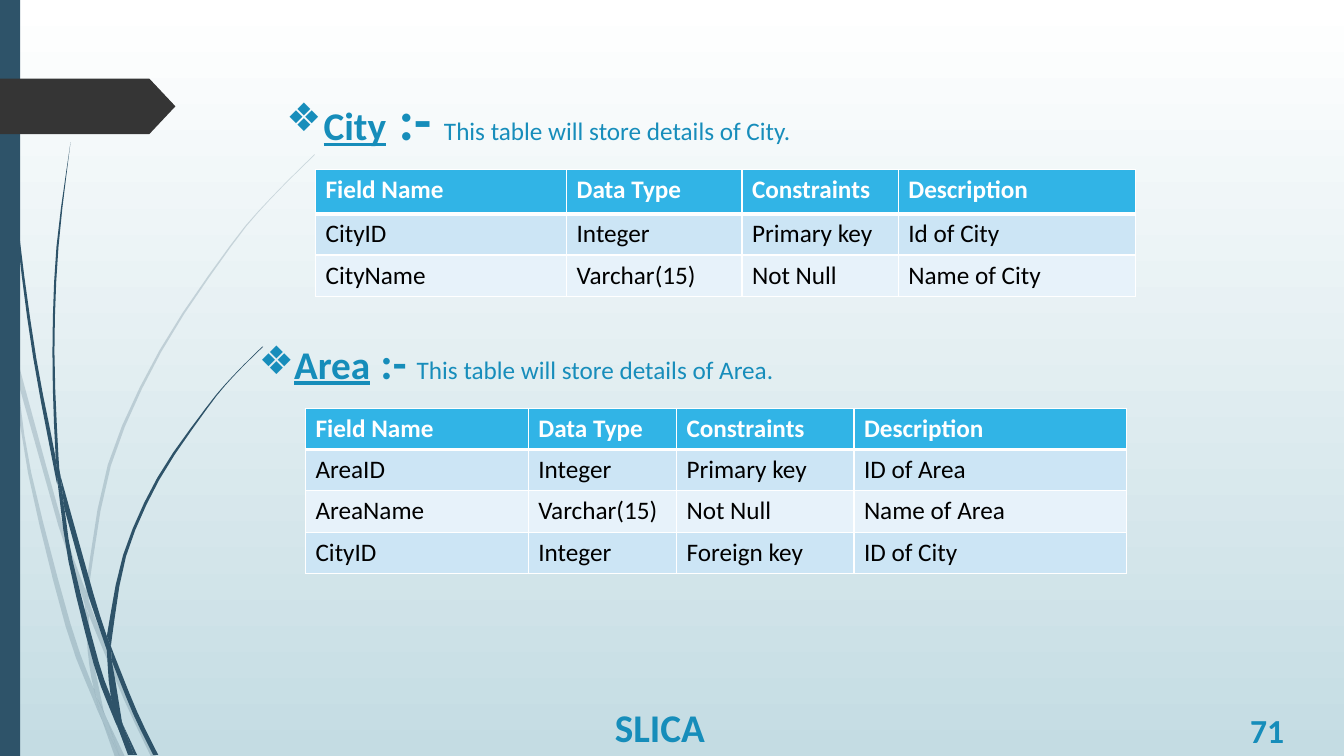
from lxml import etree
from pptx import Presentation
from pptx import util as u
from pptx.dml.color import RGBColor
from pptx.enum import shapes, text
from pptx.oxml import parse_xml
from pptx.oxml.ns import nsdecls, qn

FONT = "Calibri"
NAVY, BLUE, LINK = "2E5369", "168DBA", "178DBB"

PALE_BLADES = [
    ([(0.11, 3.5), (0.09, 3.22), (0, 2.82)], [(0, 2.99), (0.1, 3.44)]),
    ([(0.58, 5.22), (0.84, 5.99)], [(0.85, 5.86), (0.62, 5.2), (0.14, 3.45)], [(0.17, 3.76), (0.58, 5.22)]),
    ([(0.92, 6.07), (0.88, 5.96)], [(0.88, 6.1), (1.23, 6.94), (1.5, 7.51)], [(1.55, 7.51), (1.27, 6.92), (0.92, 6.07)]),
    ([(1.19, 7.51), (1.24, 7.51)], [(1.05, 7.11), (1.19, 7.51)]),
    ([(0.93, 6.83), (0.7, 6.19), (0.31, 4.69), (0.17, 3.76), (0.11, 3.5)],
     [(0.11, 3.5), (0.28, 4.7), (0.65, 6.21), (0.92, 6.93), (1.01, 7.14)], [(0.99, 7.07), (0.93, 6.83)]),
    ([(0.84, 5.99), (0.87, 6.46), (0.93, 6.83), (1.05, 7.11)], [(1.03, 7.06), (0.91, 6.46), (0.88, 6.1)]),
    ([(0.88, 5.84), (1.1, 4.62), (1.6, 3.49), (2.29, 2.45), (2.68, 1.98), (3.12, 1.54)],
     [(3.12, 1.53), (2.68, 1.97), (2.28, 2.44), (1.58, 3.48), (1.07, 4.61), (0.85, 5.84)], [(0.85, 5.86), (0.88, 5.96)]),
    ([(1.01, 7.14), (1.14, 7.51)], [(1.19, 7.51), (1.01, 7.14)]),
    ([(0.88, 6.08), (0.88, 5.96)], [(0.85, 5.86), (0.84, 5.99)]),
    ([(0.96, 6.92), (0.93, 6.83), (0.99, 7.07), (1.01, 7.14)], [(1.19, 7.51), (1.05, 7.11), (0.96, 6.92)]),
]
DARK_BLADES = [
    ([(0.07, 1.1), (0.17, 2.33), (0.33, 3.55), (0.56, 4.77)],
     [(0.57, 4.81), (0.55, 4.53), (0.36, 3.55), (0.19, 2.32), (0.08, 1.09), (0.04, 0)], [(0.03, 0), (0.07, 1.1)]),
    ([(0.88, 5.92), (1.06, 6.45)], [(1.06, 6.31), (0.93, 5.9), (0.6, 4.72)], [(0.64, 5.05), (0.88, 5.92)]),
    ([(1.13, 6.49), (1.1, 6.41)], [(1.11, 6.56), (1.32, 7.08), (1.52, 7.49)], [(1.57, 7.49), (1.36, 7.06), (1.13, 6.49)]),
    ([(1.1, 6.91), (0.98, 6.57), (0.72, 5.56), (0.64, 5.05), (0.57, 4.77)],
     [(0.57, 4.77), (0.68, 5.57), (0.93, 6.59), (1.11, 7.08), (1.17, 7.22)], [(1.16, 7.17), (1.1, 6.91)]),
    ([(0.6, 4.72), (0.58, 4.53), (0.54, 3.49), (0.58, 2.45), (0.7, 1.41)],
     [(0.7, 1.41), (0.56, 2.45), (0.52, 3.49), (0.55, 4.49), (0.6, 4.72)]),
    ([(1.33, 7.49), (1.36, 7.49)], [(1.22, 7.19), (1.33, 7.49)]),
    ([(0.57, 4.77), (0.64, 5.05)], [(0.6, 4.72), (0.55, 4.49)]),
    ([(1.11, 6.33), (1.25, 5.52), (1.58, 4.76), (2.05, 4.06), (2.31, 3.74), (2.61, 3.44)],
     [(2.6, 3.44), (2.31, 3.73), (2.04, 4.05), (1.56, 4.74), (1.22, 5.51), (1.06, 6.31)], [(1.1, 6.41), (1.11, 6.33)]),
    ([(1.17, 7.22), (1.27, 7.49)], [(1.31, 7.49), (1.17, 7.22)]),
    ([(1.06, 6.45), (1.1, 6.91), (1.22, 7.19)], [(1.21, 7.16), (1.11, 6.56), (1.06, 6.45)]),
    ([(1.06, 6.45), (1.11, 6.56)], [(1.1, 6.41), (1.06, 6.31)]),
    ([(1.16, 7.06), (1.1, 6.91), (1.17, 7.22), (1.3, 7.49)], [(1.33, 7.49), (1.22, 7.19), (1.16, 7.06)]),
]
HEADERS = ["Field Name", "Data Type", "Constraints", "Description"]
CITY = [HEADERS,
        ["CityID", "Integer", "Primary key", "Id of City"],
        ["CityName", "Varchar(15)", "Not Null", "Name of City"]]
AREA = [HEADERS,
        ["AreaID", "Integer", "Primary key", "ID of Area"],
        ["AreaName", "Varchar(15)", "Not Null", "Name of Area"],
        ["CityID", "Integer", "Foreign key", "ID of City"]]


def rgb(value):
    """Turn a hex string into a colour."""
    return RGBColor.from_string(value)


def paint(sp, color, opacity=100):
    """Give a shape a flat fill without line or shadow."""
    sp.shadow.inherit = False
    sp.fill.solid()
    sp.fill.fore_color.rgb = rgb(color)
    sp.line.fill.background()
    if opacity < 100:
        clr = sp.fill._xPr.find(".//" + qn("a:srgbClr"))
        etree.SubElement(clr, qn("a:alpha")).set("val", str(opacity * 1000))


def smooth(knots, steps=3):
    """Return points on a Catmull-Rom curve through the knots."""
    ends = [knots[0], *knots, knots[-1]]
    points = []
    for a, b, c, d in zip(ends, ends[1:], ends[2:], ends[3:]):
        for t in (i / steps for i in range(steps)):
            points.append([(2 * q + (r - p) * t + (2 * p - 5 * q + 4 * r - z) * t ** 2
                            + (3 * q - p - 3 * r + z) * t ** 3) / 2
                           for p, q, r, z in zip(a, b, c, d)])
    return points + [knots[-1]]


def add_blade(s, edges, opacity):
    """Draw one piece of grass bounded by smooth edges."""
    outline = [(u.Inches(x), u.Inches(y)) for edge in edges for x, y in smooth(edge)]
    builder = s.shapes.build_freeform(*outline[0])
    builder.add_line_segments(outline[1:], close=True)
    paint(builder.convert_to_shape(), NAVY, opacity)


def add_backdrop(s, height):
    """Draw the gradient, grass, side bar and tag."""
    fill = s.background.fill
    fill.gradient()
    fill.gradient_angle = 270
    for stop, position, color in zip(fill.gradient_stops, (0, 1), ("FFFFFF", "C4DCE3")):
        stop.position = position
        stop.color.rgb = rgb(color)
    for blades, opacity in ((PALE_BLADES, 20), (DARK_BLADES, 100)):
        for edges in blades:
            add_blade(s, edges, opacity)
    bar = s.shapes.add_shape(shapes.MSO_SHAPE.RECTANGLE, 0, 0, u.Inches(0.2), height)
    paint(bar, NAVY)
    tag = s.shapes.add_shape(shapes.MSO_SHAPE.PENTAGON, 0, u.Inches(0.78),
                             u.Inches(1.74), u.Inches(0.55))
    tag.adjustments[0] = 0.47
    paint(tag, "353535")


def place(sp, left, top, width, height):
    """Move a shape to a box given in inches."""
    sp.left, sp.top = u.Inches(left), u.Inches(top)
    sp.width, sp.height = u.Inches(width), u.Inches(height)


def write_heading(sp, name, mark_size, indent):
    """Write a bulleted table name and its explanation."""
    tf = sp.text_frame
    tf.word_wrap = True
    tf.vertical_anchor = text.MSO_ANCHOR.TOP
    p = tf.paragraphs[0]
    p.space_before = u.Pt(0)
    p.font.name = FONT
    pPr = p._p.get_or_add_pPr()
    pPr.set("marL", str(u.Inches(indent)))
    pPr.set("indent", str(-u.Inches(indent)))
    bullet = (f'<a:buClr {nsdecls("a")}><a:srgbClr val="{LINK}"/></a:buClr>',
              f'<a:buFont {nsdecls("a")} typeface="{FONT}"/>',
              f'<a:buChar {nsdecls("a")} char="❖"/>')
    for offset, xml in enumerate(bullet, start=1):
        pPr.insert(offset, parse_xml(xml))
    for words, size, color, bold, line in (
            (name, 28, BLUE, True, True),
            (" :- ", mark_size, BLUE, True, False),
            (f"This table will store details of {name}.", 18, LINK, False, False)):
        r = p.add_run()
        r.text = words
        r.font.size, r.font.bold, r.font.underline = u.Pt(size), bold, line
        r.font.color.rgb = rgb(color)


def style(p, words, size, color, bold):
    """Write a paragraph in one font."""
    p.text = words
    p.font.name, p.font.size, p.font.bold = FONT, u.Pt(size), bold
    p.font.color.rgb = rgb(color)


def add_label(s, words, size, box):
    """Add a bold footer label."""
    sp = s.shapes.add_textbox(*map(u.Inches, box))
    sp.text_frame.word_wrap = True
    style(sp.text_frame.paragraphs[0], words, size, BLUE, True)


def set_borders(cell, row):
    """Draw white cell borders, thick below the header."""
    widths = {"L": 1, "R": 1, "T": 3 if row == 1 else 1, "B": 3 if row == 0 else 1}
    tcPr = cell._tc.get_or_add_tcPr()
    for i, (side, width) in enumerate(widths.items()):
        tcPr.insert(i, parse_xml(
            f'<a:ln{side} {nsdecls("a")} w="{u.Pt(width)}"><a:solidFill>'
            f'<a:srgbClr val="FFFFFF"/></a:solidFill></a:ln{side}>'))


def add_fields(s, rows, left, top, widths, heights):
    """Add a field table with a header and banded rows."""
    box = map(u.Inches, (left, top, sum(widths), sum(heights)))
    table = s.shapes.add_table(len(rows), len(widths), *box).table
    for column, width in zip(table.columns, widths):
        column.width = u.Inches(width)
    for i, (values, height) in enumerate(zip(rows, heights)):
        table.rows[i].height = u.Inches(height)
        band = "31B4E6" if i == 0 else ("E7F2FA", "CCE5F5")[i % 2]
        for j, value in enumerate(values):
            cell = table.cell(i, j)
            cell.fill.solid()
            cell.fill.fore_color.rgb = rgb(band)
            set_borders(cell, i)
            style(cell.text_frame.paragraphs[0], value, 18, "000000" if i else "FFFFFF", i == 0)


def main():
    """Build and save the slide."""
    prs = Presentation()
    prs.slide_width, prs.slide_height = u.Inches(13.33), u.Inches(7.5)
    s = prs.slides.add_slide(prs.slide_layouts[1])
    title, body = s.placeholders
    title._element.getparent().remove(title._element)
    add_backdrop(s, prs.slide_height)
    s.shapes._spTree.append(body._element)
    place(body, 2.74, 0.79, 9.75, 5.78)
    write_heading(body, "City", 40, 0.37)
    add_label(s, "SLICA", 28, (6, 6.93, 1.11, 0.57))
    add_label(s, "71", 24, (12.3, 6.99, 0.54, 0.5))
    add_fields(s, AREA, 3.03, 4.05, (2.21, 1.47, 1.76, 2.7), [0.41] * 4)
    add_fields(s, CITY, 3.13, 1.68, (2.49, 1.74, 1.55, 2.35), (0.44, 0.41, 0.41))
    area = s.shapes.add_textbox(*map(u.Inches, (2.47, 3.27, 5.75, 0.64)))
    write_heading(area, "Area", 32, 0.32)
    prs.save("out.pptx")


if __name__ == "__main__":
    main()
